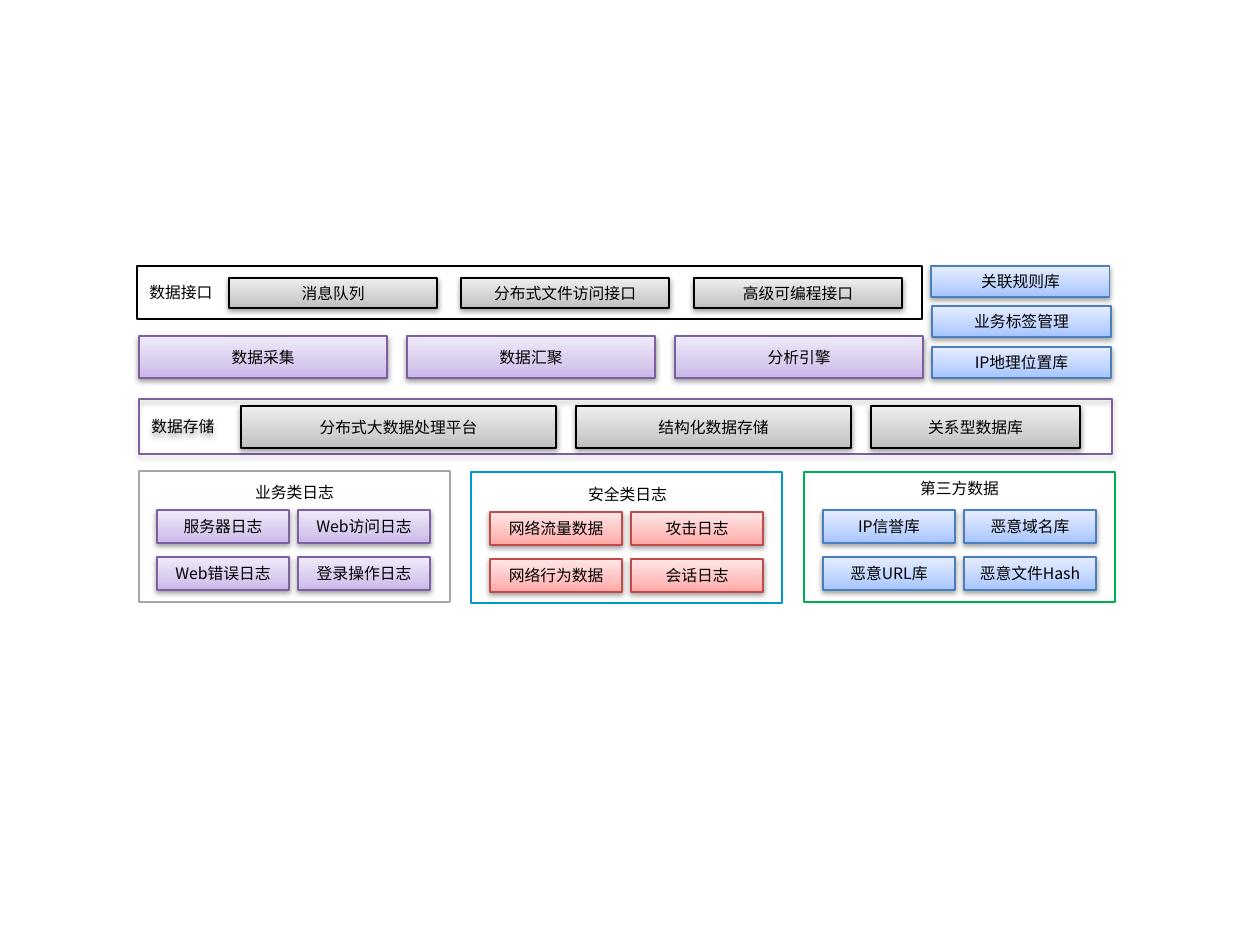
from copy import deepcopy

from lxml import etree
from pptx import Presentation
from pptx.dml.color import RGBColor
from pptx.enum.shapes import MSO_SHAPE
from pptx.enum.text import MSO_ANCHOR, MSO_AUTO_SIZE, PP_ALIGN
from pptx.oxml.ns import qn
from pptx.util import Emu, Pt

RECTANGLE = MSO_SHAPE.RECTANGLE
MIDDLE = MSO_ANCHOR.MIDDLE
FIT_SHAPE = MSO_AUTO_SIZE.SHAPE_TO_FIT_TEXT
LEFT, CENTER = PP_ALIGN.LEFT, PP_ALIGN.CENTER
PIXEL = 914400 // 126
FONT = "Noto Sans CJK SC"

# Line colour, then gradient colours from bottom to top
GREY = ("000000", ("BDBDBD", "D1D1D1", "EEEEEE"))
PURPLE = ("7D60A0", ("C9B5E8", "D8CBEE", "F0EAF9"))
BLUE = ("4B7EBC", ("A4C4FF", "BFD4FF", "E6EEFF"))
RED = ("BF4C48", ("FFA6A5", "FFC0BF", "FFE7E7"))

presentation = Presentation()
presentation.slide_width = Emu(1260 * PIXEL)
presentation.slide_height = Emu(945 * PIXEL)
slide = presentation.slides.add_slide(presentation.slide_layouts[6])


def write_text(shape, text, alignment=CENTER):
    """Put one line of black 9 point text into a shape."""
    frame = shape.text_frame
    frame.text = text
    frame.vertical_anchor = MIDDLE
    paragraph = frame.paragraphs[0]
    paragraph.alignment = alignment
    for run in paragraph.runs:
        run.font.size = Pt(9)
        run.font.name = FONT
        run.font.color.rgb = RGBColor.from_string("000000")
        east_asian = etree.SubElement(run.font._element, qn("a:ea"))
        east_asian.set("typeface", FONT)


def add_box(bounds, line_color, gradient=None, line_width=0.75, shadow=False):
    """Add a rectangle, given in pixels, with optional gradient and shadow."""
    shape = slide.shapes.add_shape(RECTANGLE, *[Emu(value * PIXEL) for value in bounds])
    shape.line.color.rgb = RGBColor.from_string(line_color)
    shape.line.width = Pt(line_width)
    shape.shadow.inherit = False
    if gradient:
        shape.fill.gradient()
        shape.fill.gradient_angle = 90
        stop_list = shape._element.spPr.find(".//" + qn("a:gsLst"))
        stop_list.insert(1, deepcopy(stop_list[0]))
        stop_list[1].set("pos", "35000")
        for stop, color in zip(shape.fill.gradient_stops, gradient):
            stop.color.rgb = RGBColor.from_string(color)
    else:
        shape.fill.background()
    if shadow:
        effects = shape._element.spPr.find(qn("a:effectLst"))
        outer = etree.SubElement(effects, qn("a:outerShdw"), blurRad="40000",
                                 dist="20000", dir="5400000", rotWithShape="0")
        black = etree.SubElement(outer, qn("a:srgbClr"), val="000000")
        etree.SubElement(black, qn("a:alpha"), val="38000")
    return shape


# Labelled frames
interface_frame = add_box((137, 266, 785, 53), "000000")
write_text(interface_frame, "数据接口", LEFT)
storage_frame = add_box((139, 399, 973, 55), "7D60A0", shadow=True)
write_text(storage_frame, "数据存储", LEFT)

# Rows and columns of single boxes
boxes = []
for index, text in enumerate(("消息队列", "分布式文件访问接口", "高级可编程接口")):
    boxes.append((text, (229 + 465 * index // 2, 278, 208, 30), GREY))
for index, text in enumerate(("数据采集", "数据汇聚", "分析引擎")):
    boxes.append((text, (139 + 268 * index, 336, 248, 42), PURPLE))
for text, left, top in (("关联规则库", 931, 266), ("业务标签管理", 932, 306),
                        ("IP地理位置库", 932, 347)):
    boxes.append((text, (left, top, 179, 31), BLUE))
left = 241
for text, width in (("分布式大数据处理平台", 315), ("结构化数据存储", 275),
                    ("关系型数据库", 209)):
    boxes.append((text, (left, 406, width, 42), GREY))
    left += width + 20

# Data sources: title, title position, frame, frame colour, first box, style, items
sources = (
    ("业务类日志", (242, 476), (139, 471, 311, 131), "A6A6A6", (157, 510), PURPLE,
     ("服务器日志", "Web访问日志", "Web错误日志", "登录操作日志")),
    ("安全类日志", (575, 478), (471, 472, 311, 131), "0099CC", (490, 512), RED,
     ("网络流量数据", "攻击日志", "网络行为数据", "会话日志")),
    ("第三方数据", (907, 472), (804, 472, 311, 130), "00B050", (823, 510), BLUE,
     ("IP信誉库", "恶意域名库", "恶意URL库", "恶意文件Hash")),
)
for title, title_position, frame_bounds, frame_color, first_box, style, items in sources:
    add_box(frame_bounds, frame_color, line_width=1)
    title_bounds = (*title_position, 105, 32)
    title_box = slide.shapes.add_textbox(*[Emu(value * PIXEL) for value in title_bounds])
    write_text(title_box, title)
    title_box.text_frame.word_wrap = False
    title_box.text_frame.auto_size = FIT_SHAPE
    for index, text in enumerate(items):
        row, column = divmod(index, 2)
        bounds = (first_box[0] + 141 * column, first_box[1] + 47 * row, 132, 33)
        boxes.append((text, bounds, style))

for text, bounds, (line_color, gradient) in boxes:
    write_text(add_box(bounds, line_color, gradient, shadow=True), text)

presentation.save("out.pptx")
